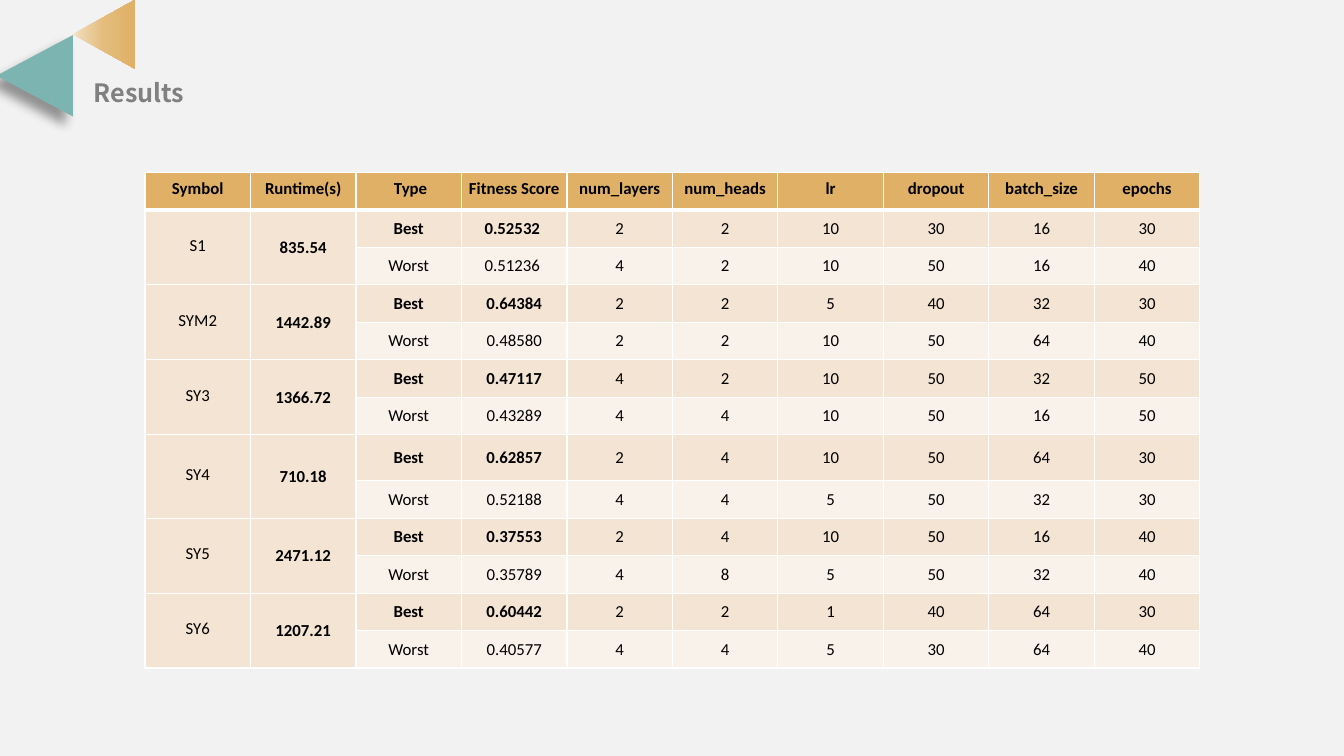
from dataclasses import dataclass
from lxml.etree import SubElement
from pptx import Presentation
from pptx.dml.color import RGBColor
from pptx.enum.shapes import MSO_SHAPE
from pptx.enum.text import MSO_ANCHOR, MSO_AUTO_SIZE, PP_ALIGN
from pptx.oxml import parse_xml
from pptx.oxml.ns import nsdecls, qn
from pptx.util import Emu, Pt


@dataclass(frozen=True)
class Theme:
    background: str = "F2F2F2"
    teal: str = "7BB4B1"
    gold: str = "DFB065"
    gold_stops: tuple = ((0, "F4E3C8"), (16, "EDD3A9"), (50, "E4BC7C"), (100, "DFB065"))
    title: str = "808080"
    text: str = "000000"
    border: str = "FFFFFF"
    best: str = "F3E4D3"
    worst: str = "F9F2EA"
    title_font: str = "Noto Sans CJK SC"
    table_font: str = "Calibri"
    title_size: int = 18
    table_size: int = 12
    thin: int = 1
    thick: int = 3


THEME = Theme()
PX_PER_INCH = 201.6
SLIDE_SIZE = (2688, 1512)
COLUMN_WIDTH = 211
ROW_HEIGHT = 75
TALL_ROW, TALL_HEIGHT = 7, 92
TIGHT_MARGINS = {"margin_left": 2, "margin_top": 2, "margin_right": 2, "margin_bottom": 10}

HEADERS = ("Symbol", "Runtime(s)", " Type", "Fitness Score", "num_layers",
           "num_heads", "lr", "dropout", "batch_size", "epochs")
RESULTS = (
    ("S1", "835.54", ("0.52532 ", 2, 2, 10, 30, 16, 30), ("0.51236 ", 4, 2, 10, 50, 16, 40)),
    ("SYM2", "1442.89", ("0.64384", 2, 2, 5, 40, 32, 30), ("0.48580", 2, 2, 10, 50, 64, 40)),
    ("SY3", "1366.72", ("0.47117", 4, 2, 10, 50, 32, 50), ("0.43289", 4, 4, 10, 50, 16, 50)),
    ("SY4", "710.18", ("0.62857", 2, 4, 10, 50, 64, 30), ("0.52188", 4, 4, 5, 50, 32, 30)),
    ("SY5", "2471.12", ("0.37553", 2, 4, 10, 50, 16, 40), ("0.35789", 4, 8, 5, 50, 32, 40)),
    ("SY6", "1207.21", ("0.60442", 2, 2, 1, 40, 64, 30), ("0.40577", 4, 4, 5, 30, 64, 40)),
)


def px(length):
    return Emu(round(length * 914400 / PX_PER_INCH))


def apply(target, values):
    for name, value in values.items():
        setattr(target, name, value)


def paint(fill, color):
    fill.solid()
    fill.fore_color.rgb = RGBColor.from_string(color)


def write(frame, text, align, color, values):
    para = frame.paragraphs[0]
    para.alignment = align
    span = para.add_run()
    span.text = text
    apply(span.font, values)
    span.font.color.rgb = RGBColor.from_string(color)


def add_triangle(page, left, top, width, height):
    triangle = page.shapes.add_shape(
        MSO_SHAPE.ISOSCELES_TRIANGLE, px(left), px(top), px(width), px(height))
    triangle.rotation = 270
    triangle.shadow.inherit = False
    triangle.line.fill.background()
    return triangle


def add_shadow(shape):
    effects = shape._element.spPr.find(qn("a:effectLst"))
    effects.append(parse_xml(
        f'<a:outerShdw {nsdecls("a")} blurRad="{Pt(8)}" dist="{Pt(8)}" dir="7800000" '
        'algn="tl" rotWithShape="0"><a:srgbClr val="000000"><a:alpha val="40000"/>'
        '</a:srgbClr></a:outerShdw>'))


def shade(shape, stops):
    shape.fill.gradient()
    gradient = shape._element.spPr.find(qn("a:gradFill"))
    stop_list = gradient.find(qn("a:gsLst"))
    stop_list.clear()
    for position, color in stops:
        stop = SubElement(stop_list, qn("a:gs"), pos=str(position * 1000))
        SubElement(stop, qn("a:srgbClr"), val=color)
    gradient.find(qn("a:lin")).set("ang", "5400000")


def set_title(page, text):
    title = page.shapes.title
    apply(title, {"left": px(167), "top": px(145), "width": px(222), "height": px(81)})
    apply(title.text_frame, {"word_wrap": False, "auto_size": MSO_AUTO_SIZE.SHAPE_TO_FIT_TEXT,
                             "vertical_anchor": MSO_ANCHOR.MIDDLE})
    write(title.text_frame, text, PP_ALIGN.LEFT, THEME.title,
          {"name": THEME.title_font, "size": Pt(THEME.title_size), "bold": True})


def set_borders(cell, row):
    properties = cell._tc.get_or_add_tcPr()
    widths = {"lnL": THEME.thin, "lnR": THEME.thin,
              "lnT": THEME.thick if row == 1 else THEME.thin,
              "lnB": THEME.thick if row == 0 else THEME.thin}
    for side, width in widths.items():
        line = SubElement(properties, qn(f"a:{side}"), w=str(Pt(width)))
        fill = SubElement(line, qn("a:solidFill"))
        SubElement(fill, qn("a:srgbClr"), val=THEME.border)


def format_cell(cell, row, column, text):
    header, best = row == 0, row % 2 == 1
    set_borders(cell, row)
    merged = column < 2
    paint(cell.fill, THEME.gold if header else THEME.best if best or merged else THEME.worst)
    cell.vertical_anchor = MSO_ANCHOR.MIDDLE
    if header or column == 0:
        apply(cell, {name: px(margin) for name, margin in TIGHT_MARGINS.items()})
    if text:
        write(cell.text_frame, text, PP_ALIGN.CENTER, THEME.text,
              {"name": THEME.table_font, "size": Pt(THEME.table_size),
               "bold": header or (best and column in (1, 2, 3))})


def result_rows():
    yield HEADERS
    for symbol, runtime, best, worst in RESULTS:
        yield (symbol, runtime, "Best", *best)
        yield ("", "", "Worst", *worst)


def add_results_table(page):
    rows = list(result_rows())
    heights = [TALL_HEIGHT if row == TALL_ROW else ROW_HEIGHT for row in range(len(rows))]
    table = page.shapes.add_table(
        len(rows), len(HEADERS), px(290), px(345),
        px(COLUMN_WIDTH * len(HEADERS)), px(sum(heights))).table
    for column in table.columns:
        column.width = px(COLUMN_WIDTH)
    for row, (values, height) in enumerate(zip(rows, heights)):
        table.rows[row].height = px(height)
        for column, value in enumerate(values):
            format_cell(table.cell(row, column), row, column, str(value))
    for row in range(1, len(rows), 2):
        for column in range(2):
            table.cell(row, column).merge(table.cell(row + 1, column))


def main():
    deck = Presentation()
    deck.slide_width, deck.slide_height = map(px, SLIDE_SIZE)
    page = deck.slides.add_slide(deck.slide_layouts[5])
    paint(page.background.fill, THEME.background)
    teal_triangle = add_triangle(page, -12, 75, 163, 153)
    paint(teal_triangle.fill, THEME.teal)
    add_shadow(teal_triangle)
    shade(add_triangle(page, 139, 6, 139, 125), THEME.gold_stops)
    set_title(page, "Results")
    add_results_table(page)
    deck.save("out.pptx")


if __name__ == "__main__":
    main()
